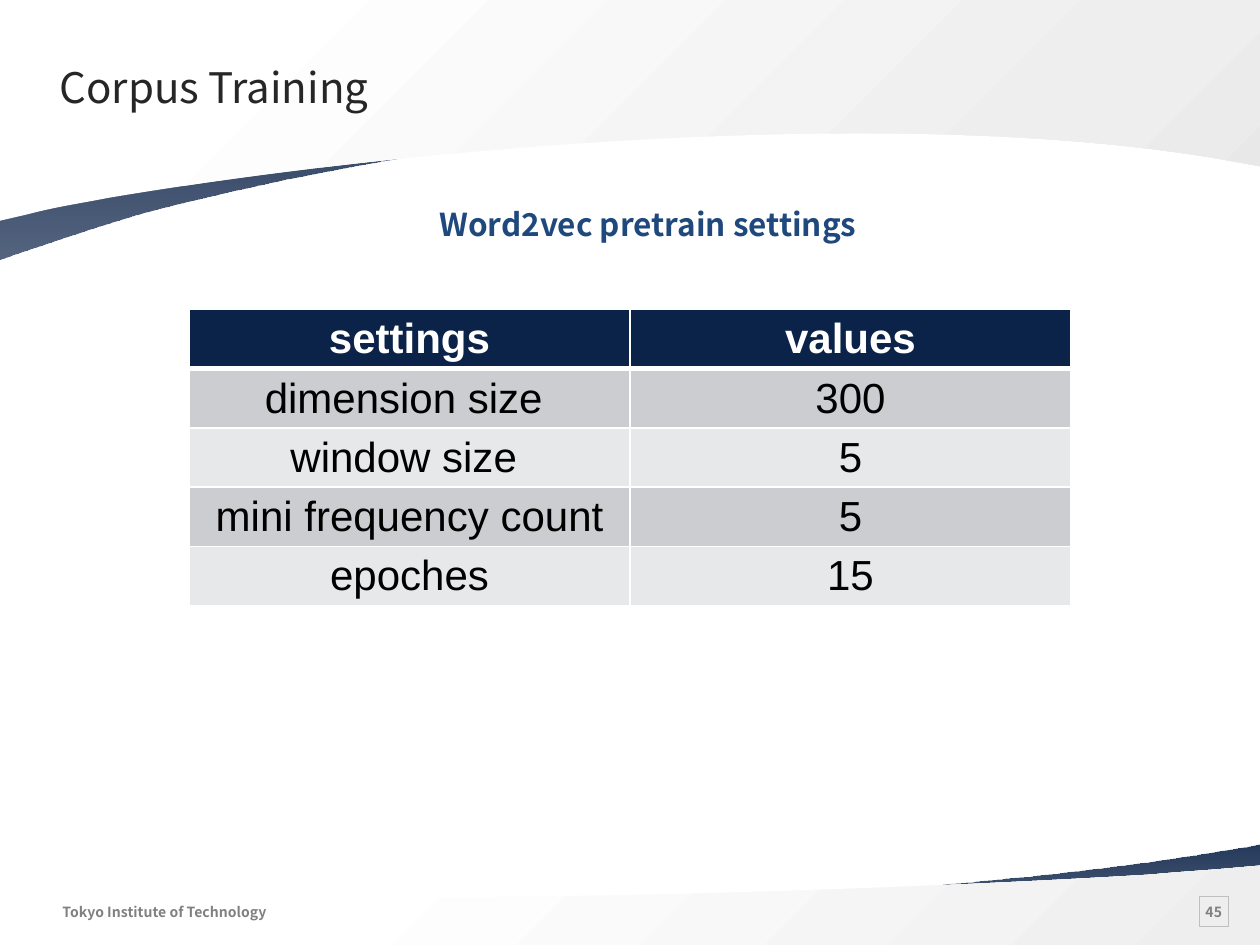
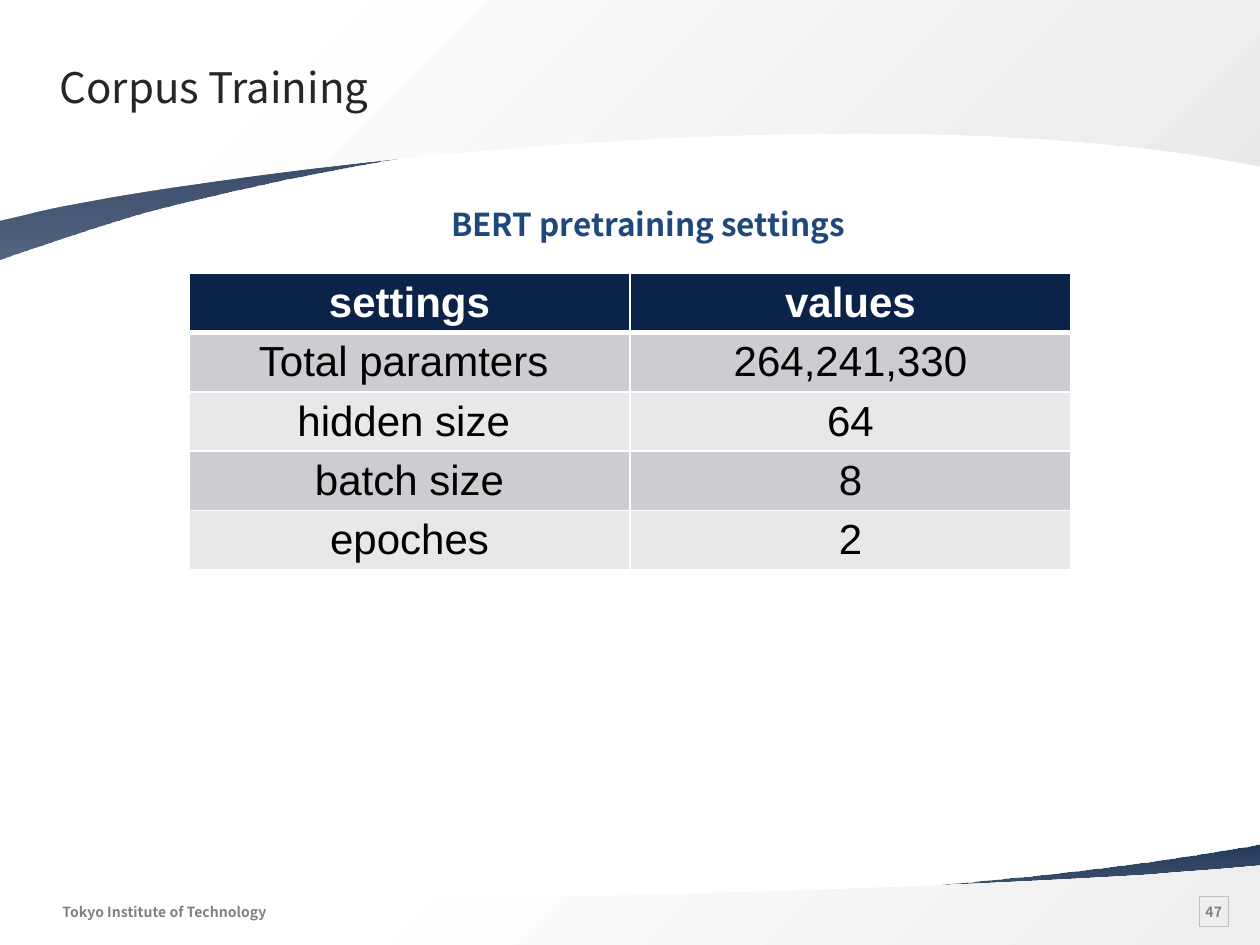
from pptx import Presentation
from pptx.dml.color import RGBColor
from pptx.enum.shapes import MSO_SHAPE
from pptx.enum.text import MSO_ANCHOR, PP_ALIGN
from pptx.oxml.ns import qn
from pptx.util import Cm, Pt
from lxml.etree import SubElement

# Colours
NAVY = RGBColor(0x0C, 0x23, 0x49)
BLUE = RGBColor(0x1F, 0x49, 0x7D)
INK = RGBColor(0x26, 0x26, 0x26)
BLACK = RGBColor(0, 0, 0)
WHITE = RGBColor(0xFF, 0xFF, 0xFF)
GREY = RGBColor(0x80, 0x80, 0x80)
RULE = RGBColor(0xBF, 0xBF, 0xBF)
MIST = RGBColor(0xEE, 0xEE, 0xEE)
FOG = RGBColor(0xE8, 0xE8, 0xE8)
DARK = RGBColor(0xCC, 0xCD, 0xD0)
PALE = RGBColor(0xE7, 0xE8, 0xE9)

# Text formats
SANS = "Noto Sans CJK SC"
TITLE = {"name": SANS, "size": Pt(24), "bold": False}
HEAD = {"name": SANS, "size": Pt(18), "bold": True}
FOOT = {"name": SANS, "size": Pt(8), "bold": True}
TOP = {"name": "Arial", "size": Pt(24), "bold": True}
BODY = {"name": "Arial", "size": Pt(24), "bold": False}

# Bands: corners, then two curves that go on from the last corner (cm)
# Stops: place, colour, opacity in percent
DEEP = [(0, NAVY, 90), (100, NAVY, 70)]
BANDS = [
    # Foot, navy then grey
    ([(25.4, 17.02), (25.4, 18.67), (0, 18.67), (0, 17.98), (0.03, 17.98)],
     [(5.74, 18.82), (15.62, 18.21), (21.31, 17.6),
      (22.45, 17.48), (23.75, 17.3), (25.12, 17.07)], DEEP, 270),
    ([(25.4, 17.45), (25.4, 19.05), (0, 19.05), (0, 17.86), (0.84, 17.91)],
     [(7.47, 18.31), (17.35, 17.98), (23.22, 17.63),
      (23.72, 17.58), (24.28, 17.55), (24.84, 17.5)],
     [(26, WHITE, 100), (100, MIST, 100)], 315),
    # Top, navy then grey
    ([(0, 5.23), (0, 1.68), (25.4, 1.68), (25.4, 3.15), (25.37, 3.12)],
     [(19.66, 1.35), (9.78, 2.62), (4.09, 3.99),
      (2.95, 4.24), (1.65, 4.65), (0.28, 5.13)], DEEP, 270),
    ([(0, 4.45), (0, 0), (25.4, 0), (25.4, 3.35), (24.56, 3.2)],
     [(17.93, 2.08), (8.05, 3), (2.18, 3.99),
      (1.68, 4.09), (1.12, 4.17), (0.56, 4.32)],
     [(17, WHITE, 100), (81, MIST, 100), (100, FOG, 100)], 315),
]

# Slides: number, heading, table top (cm), rows
PAGES = [
    ("45", "Word2vec pretrain settings ", 6.24,
     [("settings", "values"), ("dimension size ", "300"), ("window size ", "5"),
      ("mini frequency count", "5"), ("epoches", "15")]),
    ("47", "BERT pretraining settings ", 5.51,
     [("settings", "values"), ("Total paramters ", "264,241,330"),
      ("hidden size ", "64"), ("batch size", "8"), ("epoches", "2")]),
]


def write(frame, text, style, tint, align=PP_ALIGN.LEFT):
    par = frame.paragraphs[0]
    par.alignment = align
    run = par.add_run()
    run.text = text
    for key, value in style.items():
        setattr(run.font, key, value)
    run.font.color.rgb = tint


def inset(frame, left, top, right, low, wrap=False):
    sides = {"margin_left": left, "margin_top": top,
             "margin_right": right, "margin_bottom": low}
    for key, value in sides.items():
        setattr(frame, key, Cm(value))
    frame.word_wrap = wrap


deck = Presentation()
deck.slide_width, deck.slide_height = Cm(25.4), Cm(19.05)

for number, heading, top, rows in PAGES:
    slide = deck.slides.add_slide(deck.slide_layouts[6])
    shapes = slide.shapes

    # Curved bands
    for corners, bends, stops, angle in BANDS:
        spots = [(Cm(x), Cm(y)) for x, y in corners + bends[2::3]]
        pen = shapes.build_freeform(*spots[0])
        pen.add_line_segments(spots[1:], close=True)
        band = pen.convert_to_shape()
        band.shadow.inherit = False
        band.line.fill.background()

        # Turn the two long edges into curves
        edges = list(band.element.iter(qn("a:lnTo")))
        first = len(corners) - 1
        for edge, start in zip(edges[first:first + 2], (0, 3)):
            edge.tag = qn("a:cubicBezTo")
            for old in list(edge):
                edge.remove(old)
            for x, y in bends[start:start + 3]:
                SubElement(edge, qn("a:pt"), x=str(Cm(x) - band.left),
                           y=str(Cm(y) - band.top))

        # Gradient
        band.fill.gradient()
        band.fill.gradient_angle = angle
        ramp = next(band.element.iter(qn("a:gsLst")))
        for old in list(ramp):
            ramp.remove(old)
        for place, tint, alpha in stops:
            stop = SubElement(ramp, qn("a:gs"), pos=str(place * 1000))
            shade = SubElement(stop, qn("a:srgbClr"), val=str(tint))
            SubElement(shade, qn("a:alpha"), val=str(alpha * 1000))

    # Page number and footer
    box = shapes.add_shape(MSO_SHAPE.RECTANGLE, Cm(24.18), Cm(18.08), Cm(0.58), Cm(0.6))
    box.shadow.inherit = False
    box.fill.background()
    box.line.color.rgb = RULE
    box.line.width = Pt(0.75)
    inset(box.text_frame, 0.2, 0.2, 0.2, 0.2)
    box.text_frame.vertical_anchor = MSO_ANCHOR.MIDDLE
    write(box.text_frame, number, FOOT, GREY, PP_ALIGN.CENTER)
    foot = shapes.add_textbox(Cm(1.26), Cm(18.08), Cm(4.47), Cm(0.58)).text_frame
    inset(foot, 0, 0.13, 0.25, 0.13)
    write(foot, "Tokyo Institute of Technology", FOOT, GREY)

    # Title and heading
    title = shapes.add_textbox(Cm(1), Cm(1.04), Cm(22.86), Cm(1.47)).text_frame
    inset(title, 0.2, 0.2, 0, 0.2)
    write(title, "Corpus Training", TITLE, INK)
    head = shapes.add_textbox(Cm(6.43), Cm(4), Cm(13.41), Cm(1.04)).text_frame
    inset(head, 0.25, 0.13, 0.25, 0.13, True)
    write(head, heading, HEAD, BLUE, PP_ALIGN.CENTER)

    # Settings table
    grid = shapes.add_table(len(rows), 2, Cm(3.81), Cm(top),
                            Cm(17.78), Cm(1.06 * len(rows))).table
    for r, row in enumerate(rows):
        grid.rows[r].height = Cm(1.06)
        fill = NAVY if r == 0 else DARK if r % 2 else PALE
        for c, text in enumerate(row):
            cell = grid.cell(r, c)
            cell.margin_bottom = Cm(0.05)
            # White rules, thick under the header row
            rules = {"L": 1, "R": 1, "T": 3 if r == 1 else 1, "B": 3 if r == 0 else 1}
            for side, width in rules.items():
                line = SubElement(cell._tc.get_or_add_tcPr(), qn("a:ln" + side),
                                  w=str(Pt(width)))
                solid = SubElement(line, qn("a:solidFill"))
                SubElement(solid, qn("a:srgbClr"), val=str(WHITE))
            cell.fill.solid()
            cell.fill.fore_color.rgb = fill
            write(cell.text_frame, text, BODY if r else TOP,
                  BLACK if r else WHITE, PP_ALIGN.CENTER)

deck.save("out.pptx")
